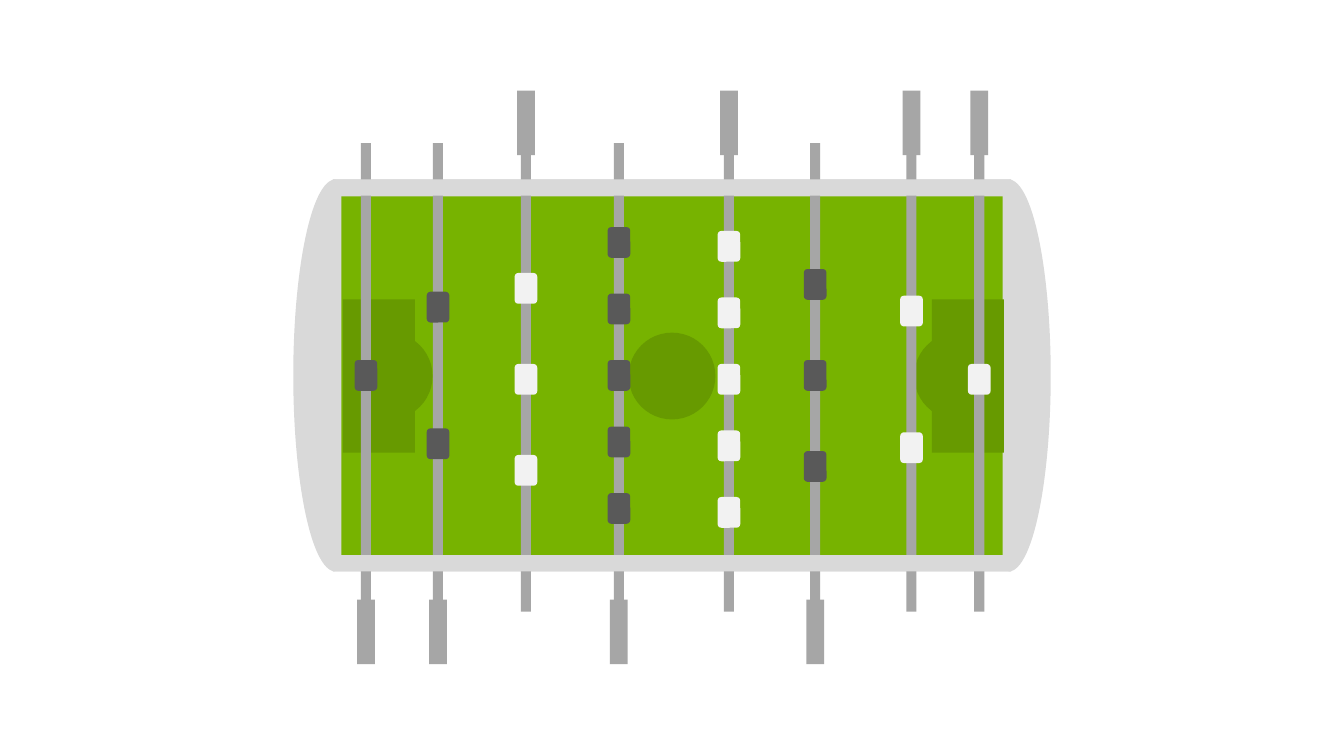
from pptx import Presentation
from pptx.dml.color import RGBColor
from pptx.enum.shapes import MSO_SHAPE
from pptx.util import Pt

RECT = MSO_SHAPE.RECTANGLE
OVAL = MSO_SHAPE.OVAL
ROUND = MSO_SHAPE.ROUNDED_RECTANGLE
CHORD = MSO_SHAPE.CHORD

FRAME = RGBColor(0xD9, 0xD9, 0xD9)
GRASS = RGBColor(0x77, 0xB3, 0x00)
MARK = RGBColor(0x67, 0x9A, 0x00)
STEEL = RGBColor(0xA6, 0xA6, 0xA6)
DARK = RGBColor(0x59, 0x59, 0x59)
LIGHT = RGBColor(0xF2, 0xF2, 0xF2)

TABLE = (209.5, 128.2, 541, 280)
RAIL = 11.6
PITCH = {1: 0, 2: 97.6, 3: 65, 5: 47.5}
TEAMS = [
    (DARK, 1, [(51.9, 1), (103.4, 2), (232.6, 5), (372.8, 3)]),
    (LIGHT, -1, [(166.2, 3), (311.2, 5), (441.6, 2), (490, 1)]),
]


def add_part(group, kind, mid_x, mid_y, width, height, color):
    """Add a plain filled shape centred on a point."""
    part = group.shapes.add_shape(
        kind, Pt(mid_x - width / 2), Pt(mid_y - height / 2), Pt(width), Pt(height))
    part.shadow.inherit = False
    part.fill.solid()
    part.fill.fore_color.rgb = color
    part.line.fill.background()
    return part


def add_field(group, box):
    """Draw the table base, the grass with its marks and the round ends."""
    left, top, width, height = box
    mid_x, mid_y = left + width / 2, top + height / 2
    add_part(group, RECT, mid_x, mid_y, 484.6, height, FRAME)
    add_part(group, RECT, mid_x, mid_y + 0.6, 472.4, 257, GRASS)
    add_part(group, OVAL, mid_x, mid_y + 0.4, 62, 62, MARK)
    for side in (-1, 1):
        add_part(group, OVAL, mid_x + 1 + side * 203, mid_y + 0.4, 62, 62, MARK)
        add_part(group, RECT, mid_x + 1 + side * 210.4, mid_y + 0.4, 51.4, 109.4, MARK)
    for side in (-1, 1):
        end = add_part(group, CHORD, mid_x + side * (width / 2 - 30), mid_y,
                       60, height, FRAME)
        end.adjustments[0] = 54.15
        end.adjustments[1] = 162
        end.rotation = 90 * (side + 1)


def add_rod(group, mid_x, mid_y, side, count, color):
    """Draw one rod with its handle and evenly spaced players."""
    add_part(group, RECT, mid_x, mid_y + side * 12.2, 7.2, 359.2, STEEL)
    add_part(group, RECT, mid_x, mid_y + side * 181.8, 12.7, 46.2, STEEL)
    for i in range(count):
        shift = (i - (count - 1) / 2) * PITCH[count]
        add_part(group, ROUND, mid_x, mid_y - side * 1.4 + shift, 16.2, 22, color)


def add_rods(group, box):
    """Draw the rods of both teams, turned to opposite sides."""
    left, top, _, height = box
    for color, side, rods in TEAMS:
        for x, count in rods:
            add_rod(group, left + x, top + height / 2 + 1.4, side, count, color)


def add_rails(group, box):
    """Draw the long rails that cover the rods."""
    left, top, width, height = box
    for y in (top + RAIL / 2, top + height - RAIL / 2):
        add_part(group, RECT, left + width / 2, y, 484.6, RAIL, FRAME)


def main():
    """Build the slide and save it."""
    deck = Presentation()
    deck.slide_width, deck.slide_height = Pt(960), Pt(540)
    slide = deck.slides.add_slide(deck.slide_layouts[6])
    group = slide.shapes.add_group_shape()
    add_field(group, TABLE)
    add_rods(group, TABLE)
    add_rails(group, TABLE)
    deck.save("out.pptx")


if __name__ == "__main__":
    main()
